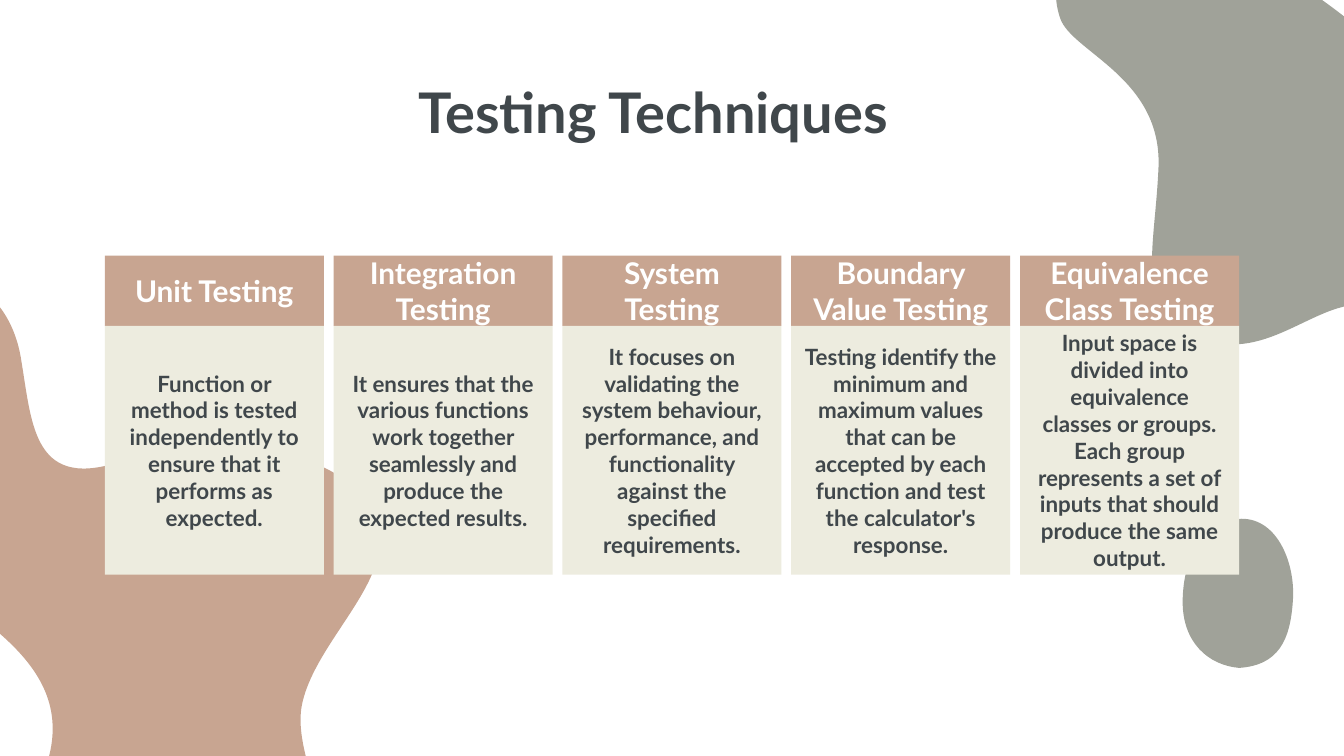
import pptx
import pptx.util
from pptx.dml.color import RGBColor
from pptx.enum.shapes import MSO_SHAPE
from pptx.enum.text import MSO_ANCHOR, MSO_AUTO_SIZE, PP_ALIGN
from pptx.oxml.ns import qn
from pptx.util import Inches

SAGE = RGBColor(0xA0, 0xA2, 0x99)
CLAY = RGBColor(0xC8, 0xA5, 0x91)
CREAM = RGBColor(0xED, 0xEC, 0xDF)
SLATE = RGBColor(0x40, 0x47, 0x4B)
WHITE = RGBColor(0xFF, 0xFF, 0xFF)
FONT = "Lato"

TITLE = "Testing Techniques"
TECHNIQUES = [
    ("Unit Testing",
     "Function or method is tested independently to ensure that it performs as expected."),
    ("Integration Testing",
     "It ensures that the various functions work together seamlessly and produce the "
     "expected results."),
    ("System Testing",
     "It focuses on validating the system behaviour, performance, and functionality "
     "against the specified requirements."),
    ("Boundary Value Testing",
     "Testing identify the minimum and maximum values that can be accepted by each "
     "function and test the calculator's response."),
    ("Equivalence Class Testing",
     "Input space is divided into equivalence classes or groups. Each group represents "
     "a set of inputs that should produce the same output."),
]

# Blob outlines in inches: a start point, then three Bezier points per curve
BLOBS = [
    (SAGE, [(7.89, 0.14),
            (7.98, 0.39), (8.65, 0.58), (8.62, 1.25),
            (8.59, 1.91), (8.43, 2.28), (8.93, 2.51),
            (9.43, 2.73), (9.83, 2.18), (10.21, 2.28),
            (10.58, 2.38), (11.71, 2.02), (10.92, 1.03),
            (10.14, 0.05), (9.02, -0.62), (8.44, -0.57),
            (7.86, -0.53), (7.8, -0.11), (7.89, 0.14)]),
    (CLAY, [(0.16, 2.69),
            (0.24, 3.17), (0.25, 3.67), (0.94, 3.42),
            (1.62, 3.17), (2.6, 3.37), (2.79, 3.83),
            (2.99, 4.28), (2.36, 4.74), (2.25, 5.23),
            (2.14, 5.71), (2.76, 6.39), (2.11, 6.64),
            (1.47, 6.9), (0.05, 6.45), (0.33, 5.74),
            (0.6, 5.02), (-0.06, 4.66), (-0.63, 4.25),
            (-1.2, 3.83), (-1.71, 2.63), (-1.02, 2.22),
            (-0.32, 1.81), (0.09, 2.2), (0.16, 2.69)]),
    (SAGE, [(9.24, 3.86),
            (9.22, 3.86), (9.19, 3.87), (9.16, 3.87),
            (8.92, 3.93), (8.8, 4.19), (8.8, 4.48),
            (8.8, 4.78), (8.99, 4.95), (9.22, 4.97),
            (9.51, 4.95), (9.6, 4.77), (9.62, 4.47),
            (9.64, 4.2), (9.51, 3.86), (9.24, 3.86)]),
]

LEFT, PITCH, CARD_W = 0.78, 1.7025, 1.63
HEAD_TOP, HEAD_H = 1.902, 0.523
BODY_TOP, BODY_H = HEAD_TOP + HEAD_H, 1.85


def paint(sp, color):
    sp.shadow.inherit = False
    sp.fill.solid()
    sp.fill.fore_color.rgb = color
    sp.line.fill.background()


def add_blob(s, color, pts):
    """Draw the control polygon, then merge each three lines into one cubic curve."""
    start, *rest = [(Inches(x), Inches(y)) for x, y in pts]
    fb = s.shapes.build_freeform(*start)
    fb.add_line_segments(rest, close=True)
    sp = fb.convert_to_shape()
    lines = list(sp.element.iter(qn("a:lnTo")))
    for i in range(0, len(lines), 3):
        curve, *others = lines[i:i + 3]
        bezier = curve.makeelement(qn("a:cubicBezTo"))
        curve.addprevious(bezier)
        for line in (curve, *others):
            bezier.append(line[0])
            line.getparent().remove(line)
    paint(sp, color)


def set_text(sp, text, size, color, anchor):
    tf = sp.text_frame
    tf.word_wrap = True
    tf.auto_size = MSO_AUTO_SIZE.NONE
    tf.vertical_anchor = anchor
    tf.margin_left = tf.margin_right = tf.margin_top = tf.margin_bottom = Inches(0.1)
    p = tf.paragraphs[0]
    p.alignment = PP_ALIGN.CENTER
    r = p.add_run()
    r.text = text
    r.font.name = FONT
    r.font.size = pptx.util.Pt(size)
    r.font.bold = True
    r.font.color.rgb = color


def add_card(s, x, y, h, fill, text, size, color):
    sp = s.shapes.add_shape(MSO_SHAPE.RECTANGLE, Inches(x), Inches(y),
                            Inches(CARD_W), Inches(h))
    paint(sp, fill)
    set_text(sp, text, size, color, MSO_ANCHOR.MIDDLE)


def main():
    prs = pptx.Presentation()
    prs.slide_width, prs.slide_height = Inches(10), Inches(5.625)
    s = prs.slides.add_slide(prs.slide_layouts[5])

    for color, pts in BLOBS:
        add_blob(s, color, pts)

    title = s.shapes.title
    title.left, title.top = Inches(0.64), Inches(0.59)
    title.width, title.height = Inches(8.44), Inches(0.59)
    set_text(title, TITLE, 30, SLATE, MSO_ANCHOR.BOTTOM)
    s.shapes.element.append(title.element)  # bring the title in front of the blobs

    for i, (name, description) in enumerate(TECHNIQUES):
        x = LEFT + i * PITCH
        add_card(s, x, HEAD_TOP, HEAD_H, CLAY, name, 16, WHITE)
        add_card(s, x, BODY_TOP, BODY_H, CREAM, description, 12, SLATE)

    prs.save("out.pptx")


if __name__ == "__main__":
    main()
